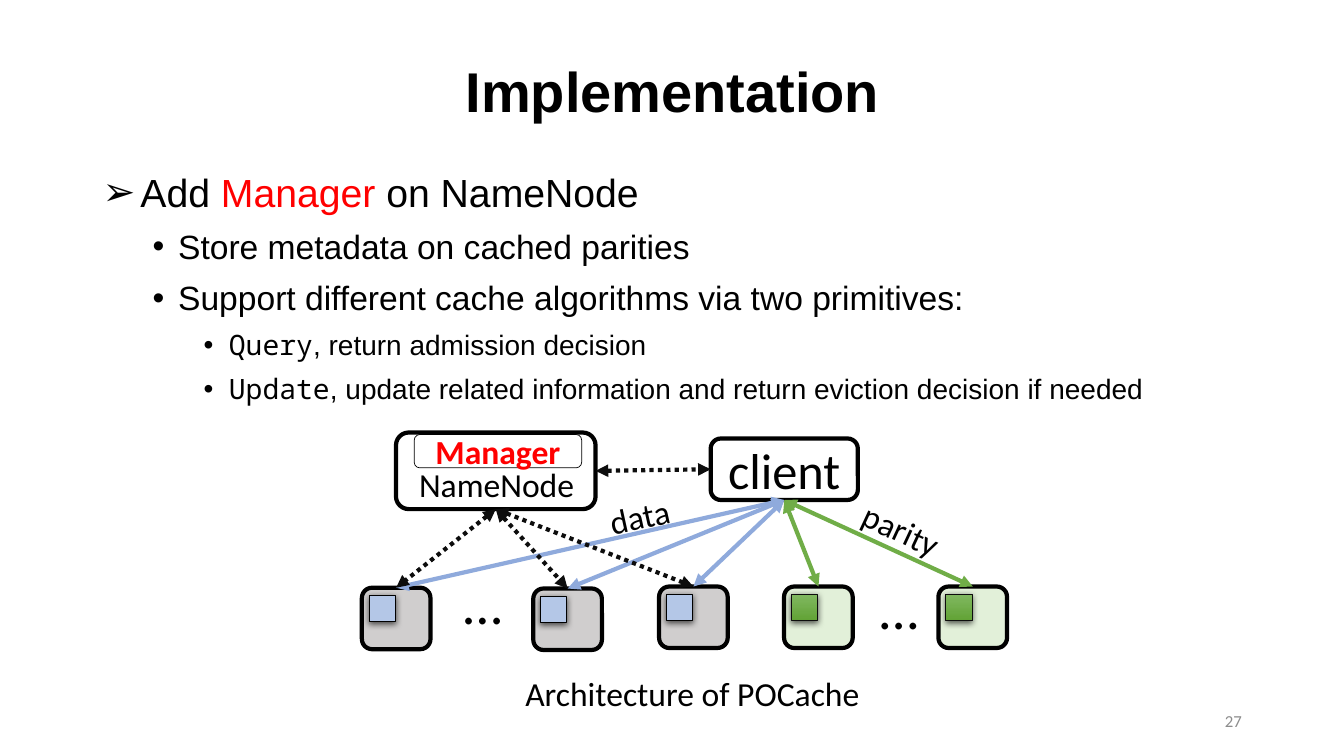
"""Build the slide on the cache manager and its architecture."""
from lxml import etree
from pptx import Presentation
from pptx.dml.color import RGBColor
from pptx.enum.dml import MSO_LINE
from pptx.enum.shapes import MSO_CONNECTOR, MSO_SHAPE
from pptx.enum.text import MSO_ANCHOR, PP_ALIGN
from pptx.oxml.ns import qn
from pptx.util import Cm, Pt

BLACK = RGBColor(0x00, 0x00, 0x00)
INK = RGBColor(0x0D, 0x0D, 0x0D)
WHITE = RGBColor(0xFF, 0xFF, 0xFF)
RED = RGBColor(0xFF, 0x00, 0x00)
DIM = RGBColor(0x8C, 0x8C, 0x8C)
GREY = RGBColor(0xD0, 0xCE, 0xCE)
PALE = RGBColor(0xE2, 0xF0, 0xD9)
SKY = RGBColor(0xB4, 0xC7, 0xE7)
BLUE = RGBColor(0x8F, 0xAA, 0xDC)
GREEN = RGBColor(0x70, 0xAD, 0x47)
LIGHT = RGBColor(0x81, 0xB8, 0x61)
DARK = RGBColor(0x62, 0xA3, 0x36)

ROUND, RECT = MSO_SHAPE.ROUNDED_RECTANGLE, MSO_SHAPE.RECTANGLE
STRAIGHT, DOTS = MSO_CONNECTOR.STRAIGHT, MSO_LINE.ROUND_DOT
TOP, MIDDLE = MSO_ANCHOR.TOP, MSO_ANCHOR.MIDDLE
CENTER, RIGHT = PP_ALIGN.CENTER, PP_ALIGN.RIGHT
UP, LEFT, DOWN, EAST = range(4)
SANS, LABEL, MONO = "Arial", "Calibri", "Noto Sans Mono"

# Bullet, indent and hanging (cm), size (pt) and space before (pt) by level
LEVELS = [("➢", 0.95, 0.95, 28, 0), ("•", 1.9, 0.64, 24, 5), ("•", 3.18, 0.64, 20, 5)]
POINTS = [
    (0, [("Add ", None, BLACK), ("Manager", None, RED), (" on NameNode", None, BLACK)]),
    (1, [("Store metadata on cached parities", None, None)]),
    (1, [("Support different cache algorithms via two primitives:", None, None)]),
    (2, [("Query", MONO, None), (", return admission decision", SANS, None)]),
    (2, [("Update", MONO, None),
         (", update related information and return eviction decision if needed", SANS, None)]),
]


def write(shape, text, size, color=BLACK, bold=False, face=LABEL, align=CENTER, anchor=MIDDLE):
    """Put one styled paragraph in a shape."""
    frame = shape.text_frame
    frame.word_wrap = True
    frame.margin_left = frame.margin_right = 0
    frame.vertical_anchor = anchor
    para = frame.paragraphs[0]
    para.text, para.alignment = text, align
    font = para.font
    font.name, font.size, font.bold = face, Pt(size), bold
    font.color.rgb = color


def add_label(slide, place, text, size, turn=0, **style):
    """Add a text box, turned if asked."""
    label = slide.shapes.add_textbox(*map(Cm, place))
    label.rotation = turn
    write(label, text, size, **style)


def add_box(slide, kind, place, fill=None, width=3.0, edge=BLACK):
    """Add an outlined shape with no shadow."""
    box = slide.shapes.add_shape(kind, *map(Cm, place))
    box.shadow.inherit = False
    if fill is None:
        box.fill.background()
    else:
        box.fill.solid()
        box.fill.fore_color.rgb = fill
    box.line.color.rgb, box.line.width = edge, Pt(width)
    return box


def add_shade(shape):
    """Give a shape a soft shadow below it."""
    effects = shape._element.spPr.find(qn("a:effectLst"))
    shade = etree.SubElement(effects, qn("a:outerShdw"), blurRad="57150", dist="19050",
                             dir="5400000", algn="ctr", rotWithShape="0")
    tint = etree.SubElement(shade, qn("a:srgbClr"), val=str(BLACK))
    etree.SubElement(tint, qn("a:alpha"), val="63000")


def add_node(slide, left, top, parity):
    """Add a storage node holding one block."""
    node = add_box(slide, ROUND, (left, top, 1.73, 1.55), PALE if parity else GREY)
    block = add_box(slide, RECT, (left + 0.19, top + 0.19, 0.66, 0.66), SKY, 0.75,
                    INK if parity else BLACK)
    if parity:
        block.fill.gradient()
        block.fill.gradient_angle = 270
        for stop, color in zip(block.fill.gradient_stops, (LIGHT, DARK)):
            stop.color.rgb = color
    add_shade(block)
    return node


def add_link(slide, start, side, end, goal, color, dash=None):
    """Join two shapes with a double arrow."""
    link = slide.shapes.add_connector(STRAIGHT, 0, 0, 0, 0)
    link.begin_connect(start, side)
    link.end_connect(end, goal)
    link.line.color.rgb, link.line.width = color, Pt(3)
    if dash is not None:
        link.line.dash_style = dash
    props = link._element.spPr
    for tip in ("a:headEnd", "a:tailEnd"):
        etree.SubElement(props.find(qn("a:ln")), qn(tip), type="triangle")
    etree.SubElement(props, qn("a:effectLst"))


def add_points(slide):
    """Add the bulleted list."""
    frame = slide.shapes.add_textbox(Cm(2.59), Cm(3.99), Cm(28.7), Cm(6.65)).text_frame
    frame.word_wrap = True
    frame.margin_left = frame.margin_right = 0
    for index, (level, runs) in enumerate(POINTS):
        para = frame.add_paragraph() if index else frame.paragraphs[0]
        mark, indent, hang, size, gap = LEVELS[level]
        props = para._p.get_or_add_pPr()
        props.set("marL", str(Cm(indent)))
        props.set("indent", str(-Cm(hang)))
        etree.SubElement(props, qn("a:buFont"), typeface=SANS)
        etree.SubElement(props, qn("a:buChar"), char=mark)
        para.level, para.line_spacing, para.space_before = level, 1.1, Pt(gap)
        para.font.size, para.font.name = Pt(size), SANS
        para.font.color.rgb = BLACK
        for text, face, color in runs:
            run = para.add_run()
            run.text = text
            if face:
                run.font.name = face
            if color is not None:
                run.font.color.rgb = color


def add_scheme(slide):
    """Draw the name node, the client, the storage nodes and their links."""
    master = add_box(slide, ROUND, (9.98, 10.9, 5.03, 1.93), WHITE)
    write(add_box(slide, ROUND, (10.44, 10.95, 4.22, 0.84), width=0.5),
          "Manager", 24, RED, True)
    add_label(slide, (10.24, 11.56, 4.55, 1.27), "NameNode", 24, anchor=TOP)
    client = add_box(slide, ROUND, (17.91, 11.05, 3.71, 1.55), WHITE)
    write(client, "client", 36)
    for left, top in ((11.43, 14.2), (21.92, 14.33)):
        add_label(slide, (left, top, 1.47, 1.96), "…", 40, anchor=TOP)

    stores = [add_node(slide, left, top, False)
              for left, top in ((9.12, 14.81), (13.44, 14.83), (16.61, 14.78))]
    checks = [add_node(slide, left, 14.78, True) for left in (19.76, 23.65)]
    for node in stores:
        add_link(slide, node, UP, client, DOWN, BLUE)
    for node in checks:
        add_link(slide, node, UP, client, DOWN, GREEN)
    for node in stores:
        add_link(slide, master, DOWN, node, UP, INK, DOTS)
    add_link(slide, master, EAST, client, LEFT, INK, DOTS)

    add_label(slide, (21.31, 12.7, 2.79, 1.32), "parity", 24, 25, anchor=TOP)
    add_label(slide, (14.78, 12.37, 2.67, 1.27), "data", 24, 347.6, anchor=TOP)
    add_label(slide, (12.88, 16.84, 9.14, 1.27), "Architecture of POCache", 24, anchor=TOP)


def main():
    """Build and save the slide."""
    deck = Presentation()
    deck.slide_width, deck.slide_height = Cm(33.87), Cm(19.05)
    slide = deck.slides.add_slide(deck.slide_layouts[6])
    add_label(slide, (2.34, 1.02, 29.21, 2.49), "Implementation", 40, bold=True, face=SANS)
    add_points(slide)
    add_label(slide, (23.93, 17.65, 7.37, 1.02), "27", 12, color=DIM, align=RIGHT)
    add_scheme(slide)
    deck.save("out.pptx")


if __name__ == "__main__":
    main()
